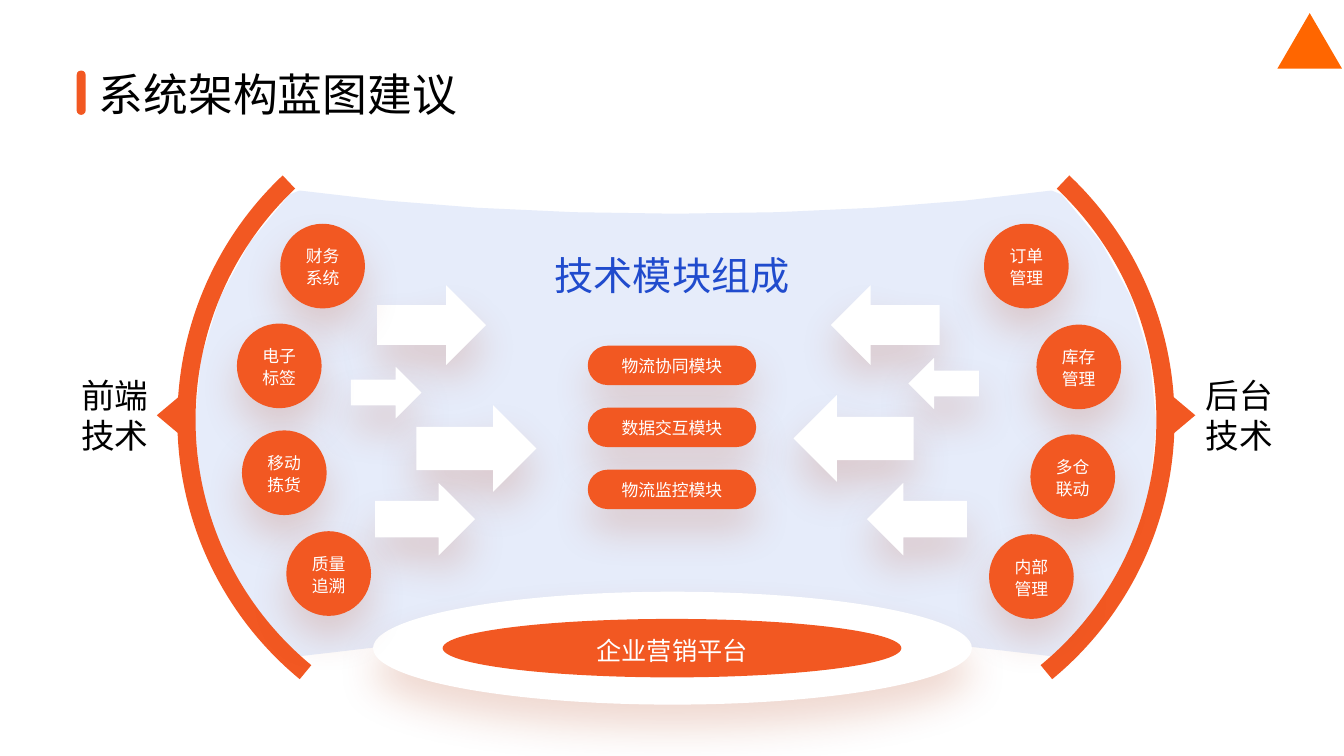
import pptx
import pptx.util
import pptx.dml.color
import pptx.enum.shapes
import pptx.enum.text
import pptx.oxml.ns
from lxml import etree

Inches = pptx.util.Inches
Kind = pptx.enum.shapes.MSO_SHAPE
Align = pptx.enum.text.PP_ALIGN

THEME = {
    "font": "Calibri",
    "orange": "F25822", "white": "FFFFFF", "black": "000000",
    "blue": "204BCD", "panel": "E6ECFA", "shadow": "AE340A", "emblem": "FF6600",
    "title": 32, "heading": 28, "side": 24, "platform": 18, "label": 12,
}

presentation = pptx.Presentation()
presentation.slide_width = Inches(13.33)
presentation.slide_height = Inches(7.5)
slide = presentation.slides.add_slide(presentation.slide_layouts[6])


def draw(kind, left, top, width, height, color, shadow=False):
    shape = slide.shapes.add_shape(
        kind, Inches(left), Inches(top), Inches(width), Inches(height))
    shape.fill.solid()
    shape.fill.fore_color.rgb = pptx.dml.color.RGBColor.from_string(THEME[color])
    shape.line.fill.background()
    shape.shadow.inherit = False
    if shadow:
        qn = pptx.oxml.ns.qn
        effects = shape.element.spPr.find(qn("a:effectLst"))
        outer = etree.SubElement(
            effects, qn("a:outerShdw"), blurRad=str(pptx.util.Pt(29)),
            dist=str(pptx.util.Pt(16)), dir="5400000", algn="t", rotWithShape="0")
        tint = etree.SubElement(outer, qn("a:srgbClr"), val=THEME["shadow"])
        etree.SubElement(tint, qn("a:alpha"), val="18000")
    return shape


def write(shape, lines, size, color, align=Align.CENTER, spacing=1.0):
    frame = shape.text_frame
    frame.word_wrap = False
    frame.vertical_anchor = pptx.enum.text.MSO_ANCHOR.MIDDLE
    for index, line in enumerate(lines):
        paragraph = frame.add_paragraph() if index else frame.paragraphs[0]
        paragraph.alignment = align
        paragraph.line_spacing = spacing
        run = paragraph.add_run()
        run.text = line
        run.font.name = THEME["font"]
        run.font.size = pptx.util.Pt(THEME[size])
        run.font.color.rgb = pptx.dml.color.RGBColor.from_string(THEME[color])


draw(Kind.ISOSCELES_TRIANGLE, 12.67, 0.13, 0.64, 0.55, "emblem")

center_x, center_y = 6.7, 4.2
side_curve = [(1.93, 4.2), (1.93, 3.31), (2.29, 2.51), (2.87, 1.93)]
top_curve = [(2.97, 1.89), (4.07, 2.04), (5.33, 2.12), (6.7, 2.12)]
steps = 4
quarter = []
for curve in (side_curve, top_curve):
    for step in range(steps + 1):
        t = step / steps
        weights = ((1 - t) ** 3, 3 * t * (1 - t) ** 2, 3 * t * t * (1 - t), t ** 3)
        quarter.append(tuple(
            sum(weight * point[axis] for weight, point in zip(weights, curve))
            for axis in (0, 1)))
upper = quarter + [(2 * center_x - x, y) for x, y in quarter[-2::-1]]
outline = upper + [(x, 2 * center_y - y) for x, y in upper[-2:0:-1]]
points = [(Inches(x), Inches(y)) for x, y in outline]
builder = slide.shapes.build_freeform(*points[0])
builder.add_line_segments(points[1:], close=True)
panel = builder.convert_to_shape()
panel.fill.solid()
panel.fill.fore_color.rgb = pptx.dml.color.RGBColor.from_string(THEME["panel"])
panel.line.fill.background()
panel.shadow.inherit = False

title_bar = draw(Kind.ROUNDED_RECTANGLE, 0.76, 0.7, 0.09, 0.44, "orange")
title_bar.adjustments[0] = 0.5

sides = [
    (1.76, (77.7, 135.97), 1.48, 270),
    (4.98, (188.03, 30.3), 11.56, 90),
]
for arc_left, (start, end), pointer_left, rotation in sides:
    arc = draw(Kind.BLOCK_ARC, arc_left, 0.83, 6.67, 6.67, "orange")
    arc.adjustments[0] = start
    arc.adjustments[1] = end
    arc.adjustments[2] = 0.027
    pointer = draw(Kind.ISOSCELES_TRIANGLE, pointer_left, 4.01, 0.37, 0.22, "orange")
    pointer.rotation = rotation

draw(Kind.OVAL, 3.7, 5.87, 5.94, 1.12, "white", shadow=True)
draw(Kind.OVAL, 4.39, 6.14, 4.55, 0.58, "orange")

texts = [
    (0.88, 0.61, 3.79, 0.64, ["系统架构蓝图建议"], "title", "black", Align.LEFT),
    (5.17, 2.44, 2.99, 0.57, ["技术模块组成"], "heading", "blue", Align.CENTER),
    (0.7, 3.66, 0.88, 0.91, ["前端", "技术"], "side", "black", Align.CENTER),
    (11.85, 3.66, 0.88, 0.91, ["后台", "技术"], "side", "black", Align.CENTER),
    (5.17, 6.25, 2.99, 0.4, ["企业营销平台"], "platform", "white", Align.CENTER),
]
for left, top, width, height, lines, size, color, align in texts:
    box = slide.shapes.add_textbox(
        Inches(left), Inches(top), Inches(width), Inches(height))
    write(box, lines, size, color, align)

for row, name in enumerate(["物流协同模块", "数据交互模块", "物流监控模块"]):
    module = draw(Kind.ROUNDED_RECTANGLE, 5.83, 3.43 + row * 0.615, 1.67, 0.39,
                  "orange", shadow=True)
    module.adjustments[0] = 0.5
    write(module, [name], "label", "white")

arrows = [
    (Kind.RIGHT_ARROW, 3.74, 2.83, 1.08, 0.79),
    (Kind.RIGHT_ARROW, 3.48, 3.64, 0.7, 0.51),
    (Kind.RIGHT_ARROW, 4.13, 4.02, 1.19, 0.86),
    (Kind.RIGHT_ARROW, 3.72, 4.79, 0.99, 0.72),
    (Kind.LEFT_ARROW, 8.24, 2.83, 1.08, 0.79),
    (Kind.LEFT_ARROW, 9.01, 3.55, 0.7, 0.51),
    (Kind.LEFT_ARROW, 7.87, 3.92, 1.19, 0.86),
    (Kind.LEFT_ARROW, 8.6, 4.79, 0.99, 0.72),
]
for kind, left, top, width, height in arrows:
    draw(kind, left, top, width, height, "white", shadow=True)

systems = [
    (2.78, 2.22, ["财务", "系统"]), (2.35, 3.21, ["电子", "标签"]),
    (2.4, 4.27, ["移动", "拣货"]), (2.84, 5.27, ["质量", "追溯"]),
    (9.76, 2.22, ["订单", "管理"]), (10.28, 3.22, ["库存", "管理"]),
    (10.22, 4.31, ["多仓", "联动"]), (9.81, 5.3, ["内部", "管理"]),
]
for left, top, lines in systems:
    circle = draw(Kind.OVAL, left, top, 0.84, 0.84, "orange", shadow=True)
    write(circle, lines, "label", "white", spacing=1.1)

presentation.save("out.pptx")
